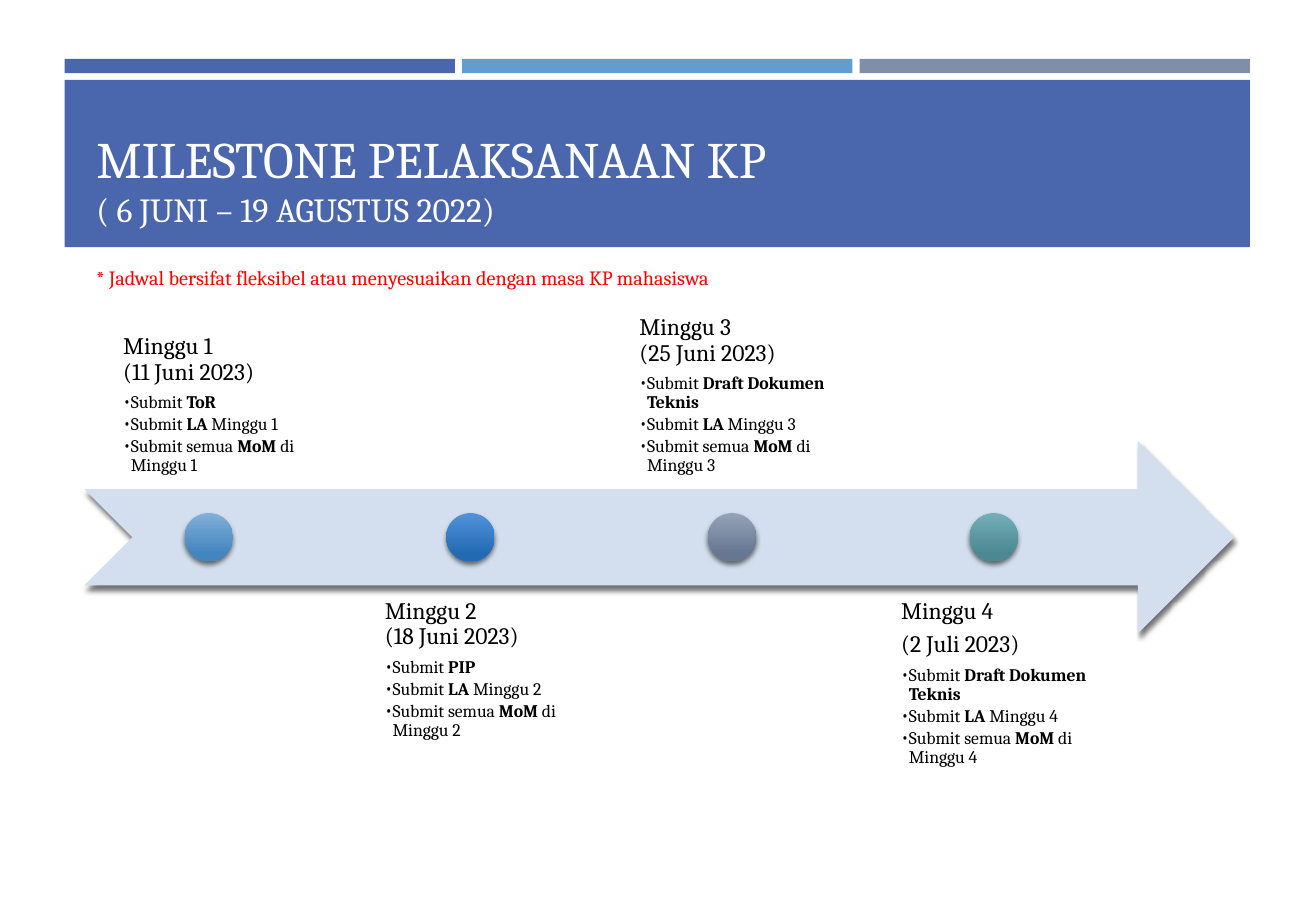
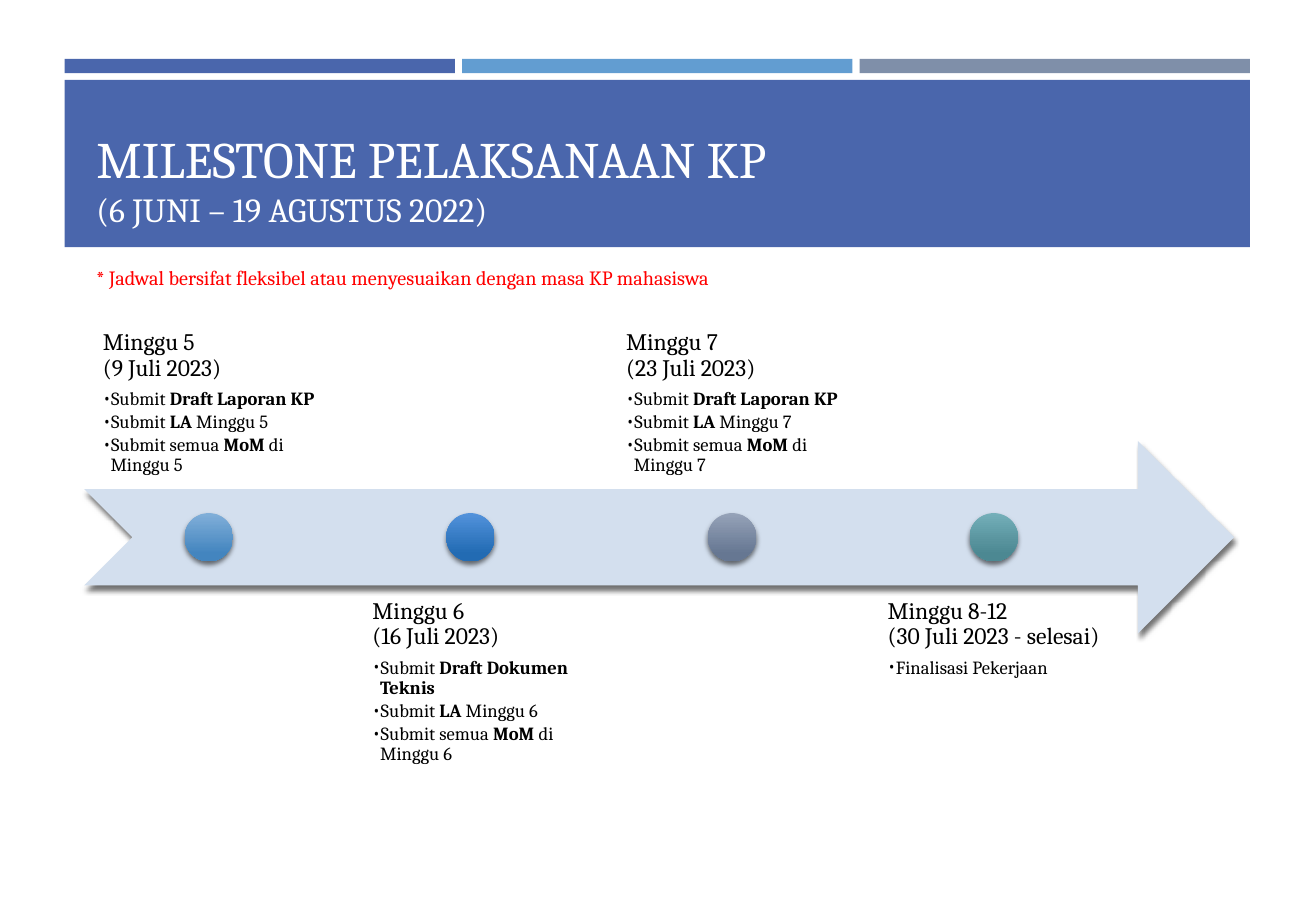
from lxml.etree import SubElement
from pptx import Presentation
from pptx.dml.color import RGBColor
from pptx.enum.shapes import MSO_SHAPE
from pptx.enum.text import MSO_ANCHOR, MSO_AUTO_SIZE, PP_ALIGN
from pptx.oxml import parse_xml
from pptx.oxml.ns import nsdecls, qn
from pptx.util import Cm, Pt

FONT = "Cambria"
WHITE = RGBColor(0xFF, 0xFF, 0xFF)
BLACK = RGBColor(0, 0, 0)
RED = RGBColor(0xFF, 0, 0)
INDIGO = RGBColor(0x4A, 0x66, 0xAC)
SKY = RGBColor(0x62, 0x9D, 0xD1)
SLATE = RGBColor(0x7F, 0x8F, 0xA9)
PALE_BLUE = RGBColor(0xD3, 0xDF, 0xEE)
DOT_GRADIENTS = [
    (RGBColor(0x81, 0xAF, 0xD9), RGBColor(0x43, 0x85, 0xBF)),
    (RGBColor(0x52, 0x92, 0xDB), RGBColor(0x22, 0x6B, 0xB3)),
    (RGBColor(0x95, 0xA2, 0xB8), RGBColor(0x66, 0x77, 0x92)),
    (RGBColor(0x74, 0xAF, 0xB9), RGBColor(0x4C, 0x88, 0x92)),
]
SHADOW = (
    f'<a:effectLst {nsdecls("a")}><a:outerShdw blurRad="38100" dist="25400" '
    'dir="5400000" rotWithShape="0"><a:srgbClr val="000000"><a:alpha val="55000"/>'
    "</a:srgbClr></a:outerShdw></a:effectLst>"
)

LEFT, CONTENT_WIDTH = 1.76, 24.04
COLUMN_STEP, COLUMN_WIDTH = 5.47, 5.21
ROW_HEIGHT, UPPER_TOP, LOWER_TOP = 4.03, 6.2, 12.24
ARROW_TOP, DOT_SIZE = 9.22, 1.01

TITLE = "MILESTONE PELAKSANAAN KP"
NOTE = "* Jadwal bersifat fleksibel atau menyesuaikan dengan masa KP mahasiswa"
SLIDES = [
    ("( 6 JUNI – 19 AGUSTUS 2022)", 10.5, [
        ("Minggu 1", "\v(11 Juni 2023)", "ToR"),
        ("Minggu 2", "\v(18 Juni 2023)", "PIP"),
        ("Minggu 3", "\v(25 Juni 2023)", "Draft Dokumen Teknis"),
        ("Minggu 4", "\n(2 Juli 2023)", "Draft Dokumen Teknis"),
    ]),
    ("(6 JUNI – 19 AGUSTUS 2022)", 11, [
        ("Minggu 5", "\v(9 Juli 2023)", "Draft Laporan KP"),
        ("Minggu 6", "\v(16 Juli 2023)", "Draft Dokumen Teknis"),
        ("Minggu 7", "\v(23 Juli 2023)", "Draft Laporan KP"),
        ("Minggu 8-12", "\v(30 Juli 2023 - selesai)", None),
    ]),
]


def add_plain_shape(slide, kind, left, top, width, height, color=None):
    shape = slide.shapes.add_shape(kind, Cm(left), Cm(top), Cm(width), Cm(height))
    shape.shadow.inherit = False
    shape.line.fill.background()
    if color is not None:
        shape.fill.solid()
        shape.fill.fore_color.rgb = color
    return shape


def cast_shadow(shape):
    properties = shape.element.spPr
    properties.replace(properties.find(qn("a:effectLst")), parse_xml(SHADOW))


presentation = Presentation()
presentation.slide_width, presentation.slide_height = Cm(27.51), Cm(19.05)
layout = presentation.slide_layouts[5]
layout_title = layout.placeholders[0]
layout_title.left, layout_title.top = Cm(LEFT), Cm(1.92)
layout_title.width, layout_title.height = Cm(CONTENT_WIDTH), Cm(3)
slides = [presentation.slides.add_slide(layout) for _ in SLIDES]

bands = [add_plain_shape(slides[0], MSO_SHAPE.RECTANGLE, 1.35, 1.67, 24.78, 3.5, INDIGO)]
for index, color in enumerate((INDIGO, SKY, SLATE)):
    bands.append(add_plain_shape(
        slides[0], MSO_SHAPE.RECTANGLE, 1.35 + 8.31 * index, 1.23, 8.16, 0.3, color))
for band in bands:
    presentation.slide_master.shapes.element.insert(2, band.element)

for slide, (period, bullet_size, milestones) in zip(slides, SLIDES):
    frame = slide.shapes.title.text_frame
    frame.auto_size = MSO_AUTO_SIZE.NONE
    frame.vertical_anchor = MSO_ANCHOR.BOTTOM
    paragraph = frame.paragraphs[0]
    paragraph.text = f"{TITLE}\v{period}"
    paragraph.alignment = PP_ALIGN.LEFT
    paragraph.font.name = FONT
    paragraph.font.color.rgb = WHITE
    for run, size in zip(paragraph.runs, (30.3, 20)):
        run.font.size = Pt(size)

    arrow = add_plain_shape(slide, MSO_SHAPE.NOTCHED_RIGHT_ARROW,
                            LEFT, ARROW_TOP, CONTENT_WIDTH, ROW_HEIGHT, PALE_BLUE)
    cast_shadow(arrow)

    for index, (week, date, deliverable) in enumerate(milestones):
        left = LEFT + COLUMN_STEP * index
        above = index % 2 == 0
        milestone = slide.shapes.add_textbox(
            Cm(left), Cm(UPPER_TOP if above else LOWER_TOP), Cm(COLUMN_WIDTH), Cm(ROW_HEIGHT))
        frame = milestone.text_frame
        frame.word_wrap = True
        frame.vertical_anchor = MSO_ANCHOR.BOTTOM if above else MSO_ANCHOR.TOP
        frame.margin_left = frame.margin_right = Cm(0.28)
        frame.margin_top = frame.margin_bottom = Cm(0.28)
        milestone.element.txBody.bodyPr.set("anchorCtr", "1")

        frame.text = week + date
        for paragraph in frame.paragraphs:
            paragraph.font.size = Pt(14)
            paragraph.space_after = Pt(4.9)

        if deliverable:
            bullets = [("Submit ", deliverable, ""),
                       ("Submit ", "LA", f" {week}"),
                       ("Submit semua ", "MoM", f" di {week}")]
        else:
            bullets = [("Finalisasi Pekerjaan", "", "")]
        for parts in bullets:
            paragraph = frame.add_paragraph()
            paragraph.level = 1
            paragraph.font.size = Pt(bullet_size)
            paragraph.space_after = Pt(bullet_size * 0.16)
            for part, bold in zip(parts, (False, True, False)):
                if part:
                    run = paragraph.add_run()
                    run.text = part
                    run.font.bold = bold
            properties = paragraph._p.get_or_add_pPr()
            properties.set("marL", str(Cm(0.16)))
            properties.set("indent", str(Cm(-0.16)))
            run_defaults = properties.find(qn("a:defRPr"))
            run_defaults.addprevious(SubElement(properties, qn("a:buFont"), typeface=FONT))
            run_defaults.addprevious(SubElement(properties, qn("a:buChar"), char="•"))
        for paragraph in frame.paragraphs:
            paragraph.line_spacing = 0.9
            paragraph.font.name = FONT
            paragraph.font.color.rgb = BLACK

        dot = add_plain_shape(
            slide, MSO_SHAPE.OVAL, left + (COLUMN_WIDTH - DOT_SIZE) / 2,
            ARROW_TOP + (ROW_HEIGHT - DOT_SIZE) / 2, DOT_SIZE, DOT_SIZE)
        dot.fill.gradient()
        dot.fill.gradient_angle = 270
        for stop, color, position in zip(dot.fill.gradient_stops, DOT_GRADIENTS[index], (0, 0.84)):
            stop.color.rgb = color
            stop.position = position
        cast_shadow(dot)

    note = slide.shapes.add_textbox(Cm(LEFT), Cm(5.43), Cm(CONTENT_WIDTH), Cm(0.77))
    note.text_frame.word_wrap = True
    paragraph = note.text_frame.paragraphs[0]
    paragraph.text = NOTE
    paragraph.font.name = FONT
    paragraph.font.size = Pt(12)
    paragraph.font.color.rgb = RED

presentation.save("out.pptx")
